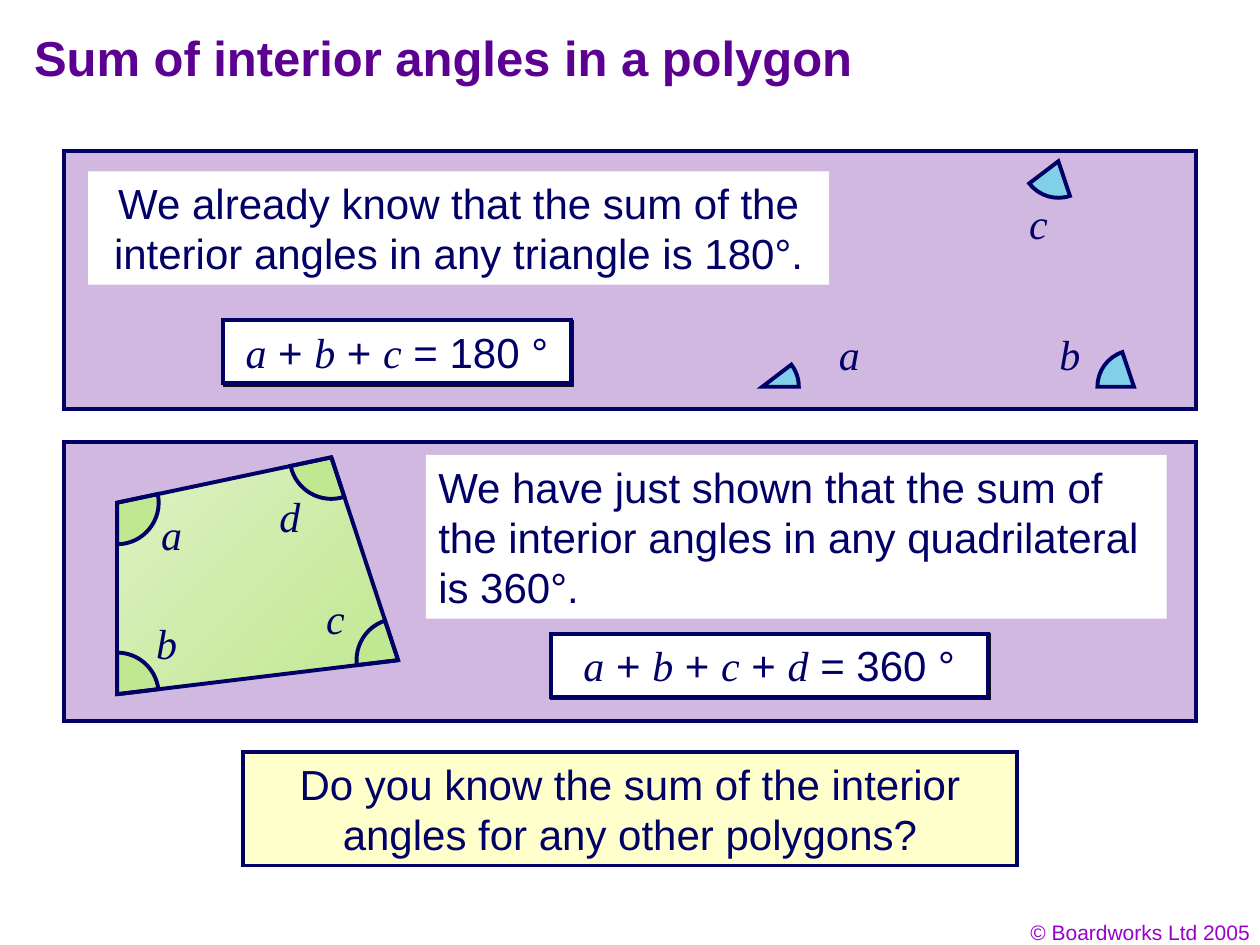
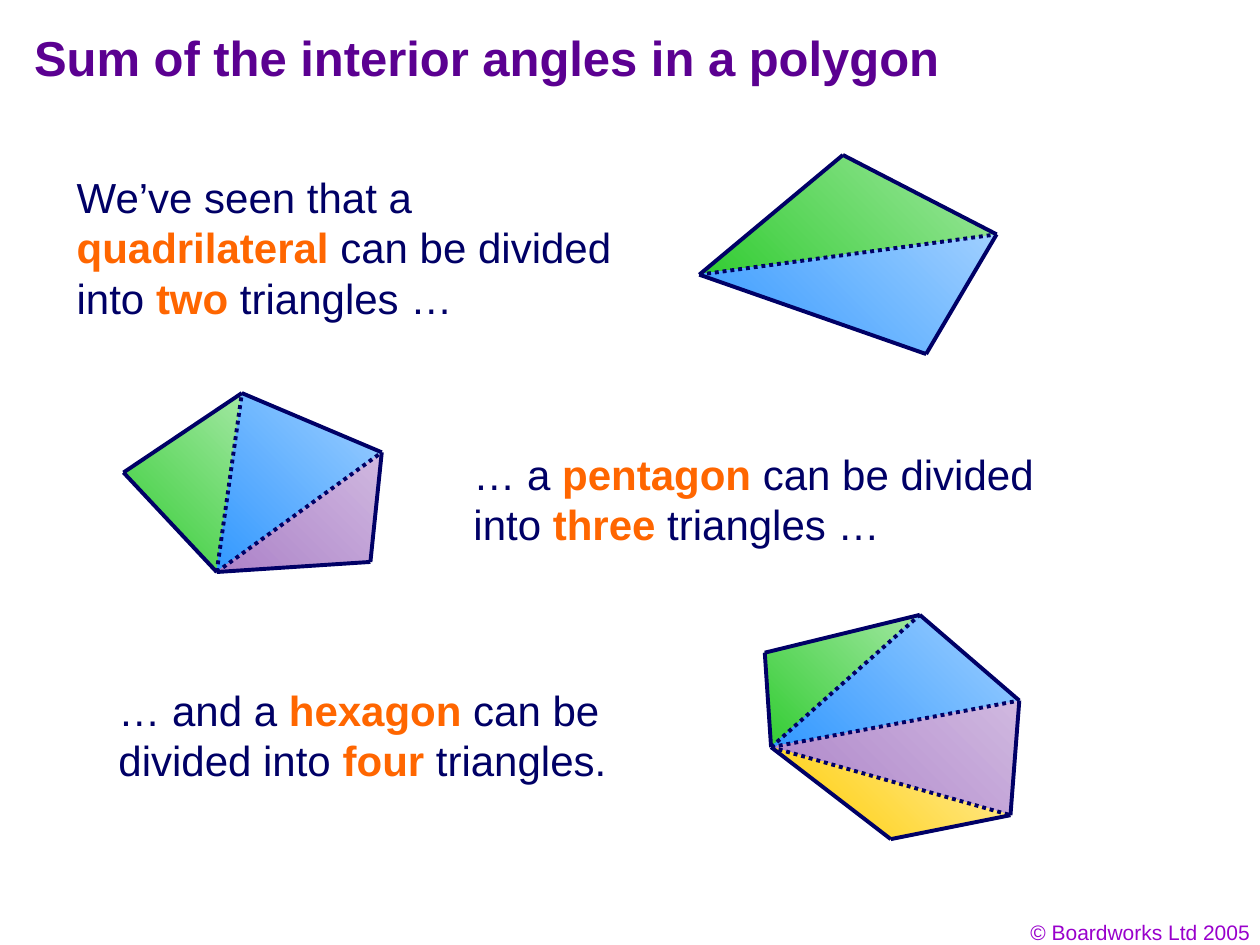
from math import atan2, cos, pi, sin, tan

from lxml.etree import SubElement
from pptx import Presentation
from pptx.dml.color import RGBColor
from pptx.enum.dml import MSO_LINE
from pptx.enum.shapes import MSO_CONNECTOR, MSO_SHAPE
from pptx.enum.text import MSO_ANCHOR, PP_ALIGN
from pptx.oxml.ns import qn
from pptx.util import Inches, Pt

NAVY = RGBColor(0x00, 0x00, 0x66)
TITLE_PURPLE = RGBColor(0x5B, 0x00, 0x91)
FOOTER_PURPLE = RGBColor(0x99, 0x00, 0xCC)
ORANGE = RGBColor(0xFF, 0x66, 0x00)
WHITE = RGBColor(0xFF, 0xFF, 0xFF)
CREAM = RGBColor(0xFF, 0xFF, 0xCC)
LILAC = RGBColor(0xD0, 0xB8, 0xE0)
SKY = RGBColor(0x80, 0xD0, 0xE8)
LIME = RGBColor(0xC0, 0xE8, 0x90)
PALE_LIME = RGBColor(0xDD, 0xF1, 0xC3)
# Gradients from light to dark, in the order of the triangles in a fan
FAN_FILLS = (
    (RGBColor(0xA1, 0xE7, 0xA1), RGBColor(0x33, 0xCC, 0x33)),
    (RGBColor(0x9F, 0xCF, 0xFF), RGBColor(0x33, 0x99, 0xFF)),
    (LILAC, RGBColor(0xAC, 0x82, 0xC8)),
    (RGBColor(0xFF, 0xEC, 0x9B), RGBColor(0xFF, 0xCC, 0x00)),
)

LINE_WIDTH = Pt(2.25)
PANEL_WIDTH = 8.98
BODY = {"name": "Arial", "size": Pt(24)}
VARIABLE = {"name": "Times New Roman", "size": Pt(24), "italic": True}
KEYWORD = {**BODY, "bold": True}
TITLE = {"name": "Arial", "size": Pt(28), "bold": True}
FOOTER = {"name": "Arial", "size": Pt(12)}


def set_font(font, formats, color):
    for name, value in formats.items():
        setattr(font, name, value)
    font.color.rgb = color


def shift(origin, points):
    return [(origin[0] + x, origin[1] + y) for x, y in points]


def style_shape(sp, fill, outlined):
    """Apply a solid colour or a (colours, angle) gradient, and the navy outline."""
    sp.shadow.inherit = False
    if isinstance(fill, RGBColor):
        sp.fill.solid()
        sp.fill.fore_color.rgb = fill
    else:
        colors, angle = fill
        sp.fill.gradient()
        sp.fill.gradient_angle = angle
        for stop, color in zip(sp.fill.gradient_stops, colors):
            stop.color.rgb = color
    if outlined:
        sp.line.color.rgb = NAVY
        sp.line.width = LINE_WIDTH
        SubElement(sp.element.spPr.find(qn("a:ln")), qn("a:miter"), lim="800000")
    else:
        sp.line.fill.background()


def add_rect(s, box, fill, outlined=True):
    sp = s.shapes.add_shape(MSO_SHAPE.RECTANGLE, *map(Inches, box))
    style_shape(sp, fill, outlined)
    return sp


def add_text(s, box, text, fill=None, outlined=False, align=PP_ALIGN.LEFT,
             wrap=True, base=BODY, color=NAVY, accent=KEYWORD, accent_color=ORANGE):
    """Add a text box, filled on request; parts between asterisks get the accent."""
    if fill is None:
        sp = s.shapes.add_textbox(*map(Inches, box))
    else:
        sp = add_rect(s, box, fill, outlined)
    tf = sp.text_frame
    tf.word_wrap = wrap
    tf.vertical_anchor = MSO_ANCHOR.TOP
    p = tf.paragraphs[0]
    p.alignment = align
    for i, part in enumerate(text.split("*")):
        if part:
            r = p.add_run()
            r.text = part
            if i % 2:
                set_font(r.font, accent, accent_color)
            else:
                set_font(r.font, base, color)
    return sp


def add_formula(s, box, text):
    sp = add_text(s, box, text, WHITE, True, PP_ALIGN.CENTER,
                  accent=VARIABLE, accent_color=NAVY)
    effects = sp.element.spPr.find(qn("a:effectLst"))
    shadow = SubElement(effects, qn("a:outerShdw"), dist=str(Pt(1.4)),
                        dir="2700000", algn="ctr", rotWithShape="0")
    SubElement(shadow, qn("a:srgbClr"), val="111111")


def add_labels(s, origin, places):
    for letter, place in places.items():
        (x, y), = shift(origin, [place])
        add_text(s, (x, y, 0.36, 0.5), letter, wrap=False, base=VARIABLE)


def add_polygon(s, points, fill, outlined=False):
    start, *rest = [(Inches(x), Inches(y)) for x, y in points]
    builder = s.shapes.build_freeform(*start, scale=1.0)
    builder.add_line_segments(rest, close=True)
    sp = builder.convert_to_shape()
    style_shape(sp, fill, outlined)
    return sp


def add_line(s, start, end, dash=None):
    cn = s.shapes.add_connector(MSO_CONNECTOR.STRAIGHT, *map(Inches, start + end))
    cn.line.color.rgb = NAVY
    cn.line.width = LINE_WIDTH
    if dash:
        cn.line.dash_style = dash
    SubElement(cn.element.spPr, qn("a:effectLst"))


def add_outline(s, corners):
    for start, end in zip(corners, corners[1:] + corners[:1]):
        add_line(s, start, end)


def add_sector(s, center, radius, first, last, fill):
    """Draw a sector as one Bézier arc, in the box of its whole circle."""
    (x, y), sweep = center, last - first
    x1, y1, x2, y2 = (radius * f(a) for a in (first, last) for f in (cos, sin))
    k = 4 / 3 * tan(sweep / 4)
    sp = add_polygon(s, shift(center, [(x1, y1), (x2, y2), (0, 0)]), fill, True)
    sp.left, sp.top = Inches(x - radius), Inches(y - radius)
    sp.width = sp.height = Inches(2 * radius)
    outline = next(sp.element.iter(qn("a:path")))
    for child in list(outline):
        outline.remove(child)
    outline.set("w", str(sp.width))
    outline.set("h", str(sp.height))
    segments = (
        ("a:moveTo", [(x1, y1)]),
        ("a:cubicBezTo", [(x1 - k * y1, y1 + k * x1), (x2 + k * y2, y2 - k * x2), (x2, y2)]),
        ("a:lnTo", [(0, 0)]),
        ("a:close", []),
    )
    for tag, points in segments:
        segment = SubElement(outline, qn(tag))
        for px, py in shift((radius, radius), points):
            SubElement(segment, qn("a:pt"), x=str(Inches(px)), y=str(Inches(py)))


def add_angle_marks(s, corners, radius, fill):
    """Draw a sector inside each corner, between the two sides that meet there."""
    for i, (x, y) in enumerate(corners):
        before, after = corners[i - 1], corners[(i + 1) % len(corners)]
        first, last = (atan2(py - y, px - x) for px, py in (before, after))
        sweep = (last - first + pi) % (2 * pi) - pi
        add_sector(s, (x, y), radius, first, first + sweep, fill)


def triangle_panel(s, left, top):
    add_rect(s, (left, top, PANEL_WIDTH, 2.05), LILAC)
    add_text(s, (left + 0.19, top + 0.16, 5.88, 0.9),
             "We already know that the sum of the interior angles in any triangle is 180°.",
             WHITE, align=PP_ALIGN.CENTER)
    add_formula(s, (left + 1.26, top + 1.34, 2.76, 0.5), "*a* + *b* + *c* = 180 °")
    corners = shift((left, top), [(5.54, 1.87), (8.49, 1.87), (7.89, 0.08)])
    add_angle_marks(s, corners, 0.29, SKY)
    add_labels(s, (left, top), {"a": (6.05, 1.36), "b": (7.8, 1.36), "c": (7.56, 0.32)})


def quadrilateral_panel(s, left, top):
    add_rect(s, (left, top, PANEL_WIDTH, 2.21), LILAC)
    add_text(s, (left + 2.87, top + 0.1, 5.88, 1.3),
             "We have just shown that the sum of the interior angles "
             "in any quadrilateral is 360°.", WHITE)
    corners = shift((left, top), [(0.42, 0.48), (0.42, 2), (2.65, 1.73), (2.12, 0.12)])
    add_polygon(s, corners, ((LIME, PALE_LIME), 135))
    add_angle_marks(s, corners, 0.33, LIME)
    add_outline(s, corners)
    add_labels(s, (left, top), {"a": (0.67, 0.48), "b": (0.63, 1.34),
                                "c": (1.98, 1.14), "d": (1.61, 0.33)})
    add_formula(s, (left + 3.86, top + 1.52, 3.47, 0.5),
                "*a* + *b* + *c* + *d* = 360 °")


def triangle_fan(s, origin, points):
    """Split a polygon into triangles that all meet at its first corner."""
    corners = shift(origin, points)
    hub, *rim = corners
    for start, end, colors in zip(rim, rim[1:], FAN_FILLS):
        add_polygon(s, (hub, start, end), (colors, 225))
    add_outline(s, corners)
    for corner in rim[1:-1]:
        add_line(s, hub, corner, MSO_LINE.ROUND_DOT)


def add_titled_slide(prs, layout, title):
    s = prs.slides.add_slide(layout)
    sp = s.shapes.title
    sp.left, sp.top, sp.width, sp.height = map(Inches, (0.17, 0.17, 8.5, 0.67))
    tf = sp.text_frame
    tf.text = title
    tf.vertical_anchor = MSO_ANCHOR.TOP
    p = tf.paragraphs[0]
    p.alignment = PP_ALIGN.LEFT
    set_font(p.runs[0].font, TITLE, TITLE_PURPLE)
    return s


def move_footer_to_layout(s, layout):
    """Make the footer on a slide, then hand it to the layout all slides share."""
    sp = add_text(s, (7.69, 7.25, 2.33, 0.3), "© Boardworks Ltd 2005",
                  align=PP_ALIGN.RIGHT, base=FOOTER, color=FOOTER_PURPLE)
    layout.shapes.element.append(sp.element)


def angle_sums_slide(s):
    triangle_panel(s, 0.51, 1.2)
    quadrilateral_panel(s, 0.51, 3.51)
    add_text(s, (1.93, 5.97, 6.14, 0.9),
             "Do you know the sum of the interior angles for any other polygons?",
             CREAM, True, PP_ALIGN.CENTER)


def division_slide(s):
    add_text(s, (0.51, 1.31, 4.49, 1.3),
             "We’ve seen that a *quadrilateral* can be divided into *two* triangles …")
    triangle_fan(s, (5.55, 1.23), [(0, 0.95), (1.14, 0), (2.36, 0.63), (1.8, 1.58)])
    add_text(s, (3.66, 3.51, 4.84, 0.9),
             "… a *pentagon* can be divided into *three* triangles …")
    triangle_fan(s, (0.98, 3.12), [(0.74, 1.42), (0, 0.63), (0.94, 0),
                                   (2.05, 0.47), (1.96, 1.34)])
    sp = add_text(s, (0.67, 5.24, 4.41, 1.18),
                  "… and a *hexagon* can be divided into *four* triangles.", WHITE)
    sp.text_frame.vertical_anchor = MSO_ANCHOR.MIDDLE
    sp.text_frame.margin_left = Inches(0.27)
    triangle_fan(s, (6.07, 4.88), [(0.05, 1.05), (0, 0.3), (1.23, 0),
                                   (2.02, 0.68), (1.95, 1.59), (1, 1.78)])


def main():
    prs = Presentation()
    prs.slide_width, prs.slide_height = Inches(10), Inches(7.5)
    layout = prs.slide_layouts.get_by_name("Title Only")
    s = add_titled_slide(prs, layout, "Sum of interior angles in a polygon")
    move_footer_to_layout(s, layout)
    angle_sums_slide(s)
    division_slide(add_titled_slide(prs, layout, "Sum of the interior angles in a polygon"))
    prs.save("out.pptx")


if __name__ == "__main__":
    main()
